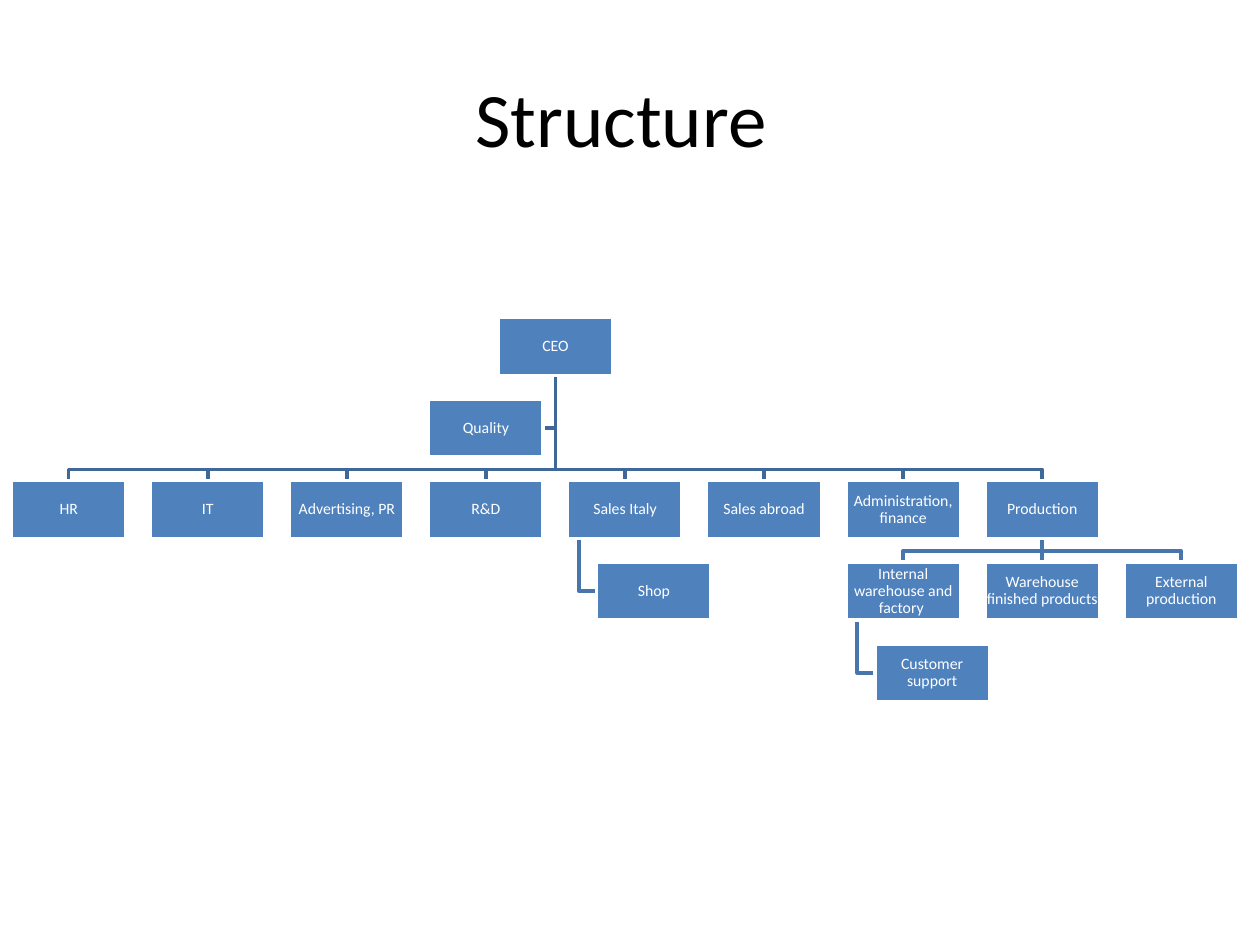
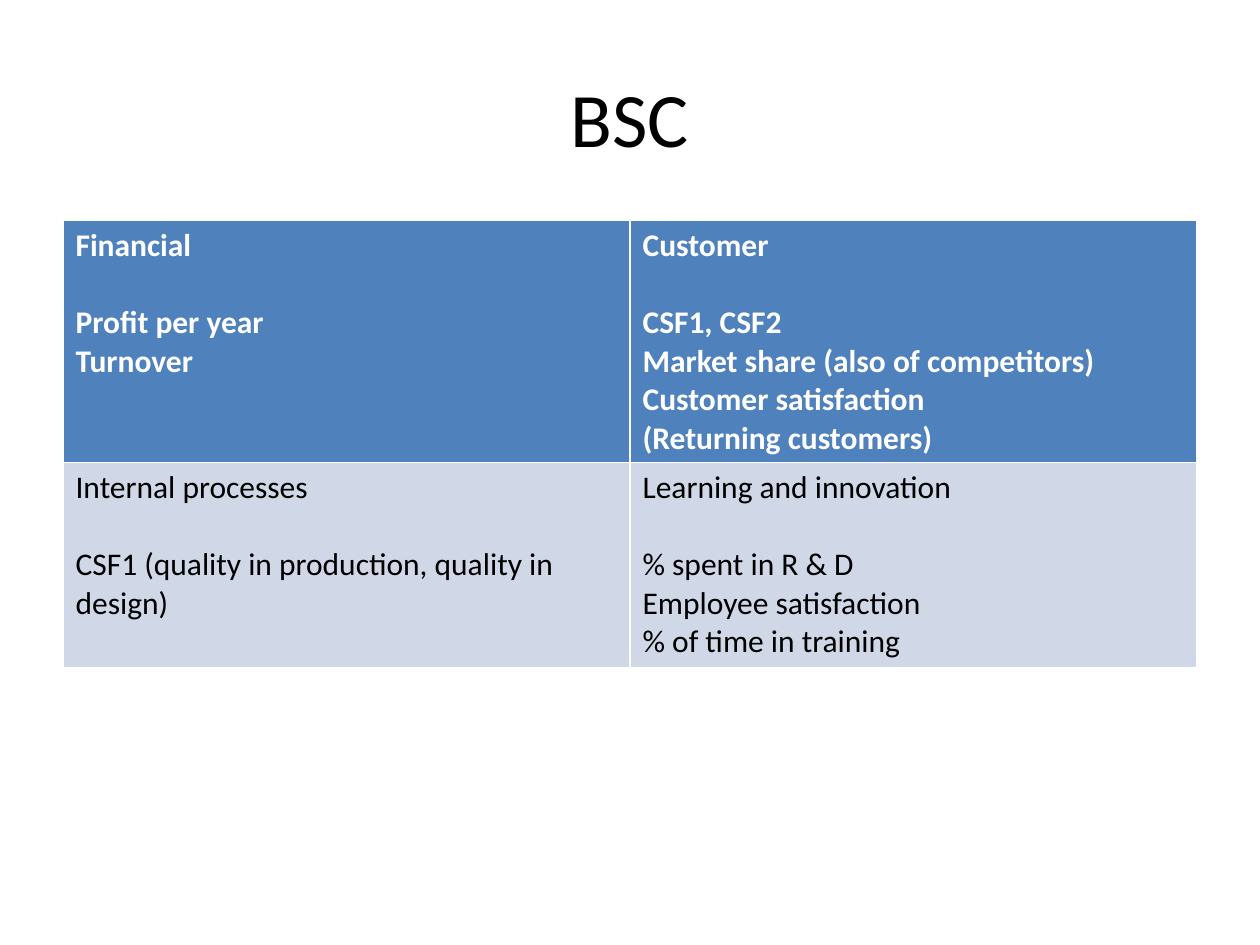
from pptx import Presentation
from pptx.dml.color import RGBColor
from pptx.enum.shapes import MSO_CONNECTOR, MSO_SHAPE
from pptx.enum.text import MSO_ANCHOR, PP_ALIGN
from pptx.util import Inches, Pt
from lxml import etree

FONT = "Calibri"
BLACK, WHITE = "000000", "FFFFFF"
BLUE, PALE_BLUE = "4F81BD", "D0D8E8"
UPPER_LINK, LOWER_LINK = "3F6797", "4875AC"


def color(hex_string):
    return RGBColor.from_string(hex_string)


def style_paragraph(paragraph, size, hex_string, bold=False):
    for run in paragraph.runs:
        run.font.name = FONT
        run.font.size = Pt(size)
        run.font.bold = bold
        run.font.color.rgb = color(hex_string)


prs = Presentation()
prs.slide_width, prs.slide_height = Inches(10), Inches(7.5)

slides = []
for heading in ("Structure ", "BSC"):
    slide = prs.slides.add_slide(prs.slide_layouts[6])
    title = slide.shapes.add_textbox(Inches(0.5), Inches(0.3), Inches(9), Inches(1.25))
    title.text_frame.word_wrap = True
    title.text_frame.vertical_anchor = MSO_ANCHOR.MIDDLE
    title.text_frame.text = heading
    title.text_frame.paragraphs[0].alignment = PP_ALIGN.CENTER
    style_paragraph(title.text_frame.paragraphs[0], 44, BLACK)
    slides.append(slide)
structure, scorecard = slides

# Organisation chart: each unit has a column, a row and an indent from its column
BOX_W, BOX_H = 0.91, 0.46
COLUMN_STEP = (8.92 - 0.09) / 8
ROW_STEP = (5.11 - 2.52) / 4
INDENT = 0.23
DROP = 0.09

units = {
    "CEO": (3.5, 0, 0),
    "HR": (0, 2, 0),
    "IT": (1, 2, 0),
    "Advertising, PR": (2, 2, 0),
    "R&D": (3, 2, 0),
    "Sales Italy": (4, 2, 0),
    "Shop": (4, 3, INDENT),
    "Sales abroad": (5, 2, 0),
    "Administration, finance": (6, 2, 0),
    "Production": (7, 2, 0),
    "Internal warehouse and factory ": (6, 3, 0),
    "Customer support": (6, 4, INDENT),
    "Warehouse finished products ": (7, 3, 0),
    "External production": (8, 3, 0),
    "Quality": (3, 1, 0),
}
corners = {
    name: (0.09 + column * COLUMN_STEP + indent, 2.52 + row * ROW_STEP)
    for name, (column, row, indent) in units.items()
}

departments = [name for name, (_, row, _) in units.items() if row == 2]
branches = [("CEO", name, UPPER_LINK) for name in departments]
branches += [("Production", name, LOWER_LINK)
             for name in ("Internal warehouse and factory ", "External production")]

routes = []
for parent, child, link_color in branches:
    start_x, start_y = corners[parent][0] + BOX_W / 2, corners[parent][1] + BOX_H
    end_x, end_y = corners[child][0] + BOX_W / 2, corners[child][1]
    bend_y = end_y - DROP
    routes.append((link_color, [(start_x, start_y), (start_x, bend_y),
                                (end_x, bend_y), (end_x, end_y)]))

# Side links leave the parent's bottom edge and meet the child's side
for parent, child, start_offset, end_offset, link_color in (
    ("CEO", "Quality", BOX_W / 2, BOX_W, UPPER_LINK),
    ("Sales Italy", "Shop", DROP, 0, LOWER_LINK),
    ("Internal warehouse and factory ", "Customer support", DROP, 0, LOWER_LINK),
):
    start_x, start_y = corners[parent][0] + start_offset, corners[parent][1] + BOX_H
    end_x, end_y = corners[child][0] + end_offset, corners[child][1] + BOX_H / 2
    routes.append((link_color, [(start_x, start_y), (start_x, end_y), (end_x, end_y)]))

for link_color, route in routes:
    points = [(Inches(x), Inches(y)) for x, y in route]
    builder = structure.shapes.build_freeform(*points[0])
    builder.add_line_segments(points[1:], close=False)
    link = builder.convert_to_shape()
    link.shadow.inherit = False
    link.fill.background()
    link.line.color.rgb = color(link_color)
    link.line.width = Pt(2)

warehouse_link = structure.shapes.add_connector(MSO_CONNECTOR.STRAIGHT, 0, 0, 0, 0)
warehouse_link.line.color.rgb = color(LOWER_LINK)
warehouse_link.line.width = Pt(2)
etree.SubElement(
    warehouse_link._element.spPr,
    "{http://schemas.openxmlformats.org/drawingml/2006/main}effectLst",
)

boxes = {}
for name, (left, top) in corners.items():
    box = structure.shapes.add_shape(
        MSO_SHAPE.RECTANGLE, Inches(left), Inches(top), Inches(BOX_W), Inches(BOX_H))
    box.shadow.inherit = False
    box.fill.solid()
    box.fill.fore_color.rgb = color(BLUE)
    box.line.color.rgb = color(WHITE)
    box.line.width = Pt(2)
    frame = box.text_frame
    frame.margin_left = frame.margin_right = Inches(0.01)
    frame.margin_top = frame.margin_bottom = Inches(0.01)
    frame.word_wrap = True
    frame.vertical_anchor = MSO_ANCHOR.MIDDLE
    frame.text = name
    label = frame.paragraphs[0]
    label.alignment = PP_ALIGN.CENTER
    label.line_spacing = 0.9
    style_paragraph(label, 9, WHITE)
    boxes[name] = box

warehouse_link.begin_connect(boxes["Production"], 2)
warehouse_link.end_connect(boxes["Warehouse finished products "], 0)

# Balanced scorecard: the first line of each cell names the perspective
perspectives = [
    [
        ["Financial", "Profit per year", "Turnover"],
        ["Customer", "CSF1, CSF2", "Market share (also of competitors)",
         "Customer satisfaction", "(Returning customers)"],
    ],
    [
        ["Internal processes", "CSF1 (quality in production, quality in design)"],
        ["Learning and innovation", "% spent in R & D", "Employee satisfaction",
         "% of time in training"],
    ],
]
row_styles = [(1.92, BLUE, WHITE, True), (1.63, PALE_BLUE, BLACK, False)]

table = scorecard.shapes.add_table(
    2, 2, Inches(0.5), Inches(1.75), Inches(9), Inches(3.55)).table
for r, (height, fill, text_color, bold) in enumerate(row_styles):
    table.rows[r].height = Inches(height)
    for c, lines in enumerate(perspectives[r]):
        cell = table.cell(r, c)
        cell.fill.solid()
        cell.fill.fore_color.rgb = color(fill)
        cell.text_frame.text = "\n".join(lines)
        for paragraph in cell.text_frame.paragraphs:
            style_paragraph(paragraph, 18, text_color, bold)
        cell.text_frame.paragraphs[0].space_after = Pt(22)

prs.save("out.pptx")
